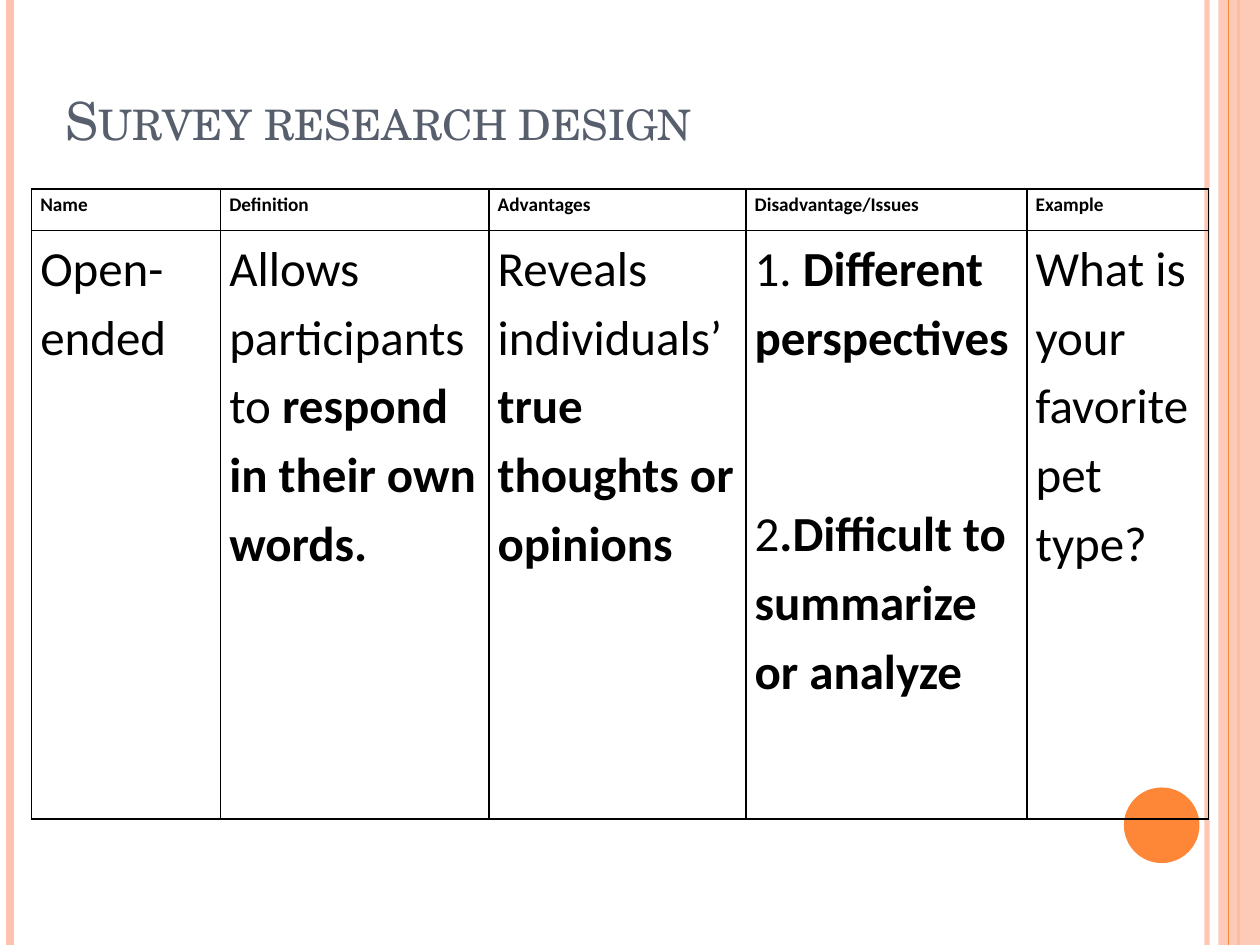
from dataclasses import dataclass

from lxml import etree
from pptx import Presentation
from pptx.dml.color import RGBColor
from pptx.enum.shapes import MSO_CONNECTOR, MSO_SHAPE
from pptx.enum.text import MSO_ANCHOR, MSO_AUTO_SIZE, PP_ALIGN
from pptx.oxml.ns import qn
from pptx.util import Inches, Pt

STRAIGHT = MSO_CONNECTOR.STRAIGHT
RECTANGLE, OVAL = MSO_SHAPE.RECTANGLE, MSO_SHAPE.OVAL
BOTTOM, TOP = MSO_ANCHOR.BOTTOM, MSO_ANCHOR.TOP
LEFT, NO_AUTOFIT = PP_ALIGN.LEFT, MSO_AUTO_SIZE.NONE

WIDTH, HEIGHT = 10, 7.5
PEACH, ORANGE, SLATE, BLACK = "FEC3AE", "FE8637", "575F6D", "000000"
TITLE_FONT, TABLE_FONT = "TeX Gyre Schola", "Calibri"


@dataclass
class Stripe:
    x: float
    color: str
    weight: float
    opacity: int = 100


@dataclass
class Panel:
    preset: int
    box: tuple[float, float, float, float]
    color: str
    opacity: int = 100


@dataclass
class Column:
    heading: str
    width: float
    paragraphs: list[list[tuple[str, bool]]]  # runs as (text, bold)


OUTER_STRIPES = [Stripe(9.58, PEACH, 3, 93), Stripe(0.08, PEACH, 4.5), Stripe(9.83, ORANGE, 1.5)]
BAND = Panel(RECTANGLE, (9.67, 0, 0.33, HEIGHT), PEACH, 87)
BAND_STRIPE = Stripe(9.75, ORANGE, 0.75)
DISC = Panel(OVAL, (8.92, 6.25, 0.6, 0.6), ORANGE)

COLUMNS = [
    Column("Name", 1.5, [[("Open-ended", False)]]),
    Column("Definition", 2.13,
           [[("Allows participants to ", False), ("respond in their own words.", True)]]),
    Column("Advantages", 2.04,
           [[("Reveals individuals’ ", False), ("true thoughts or opinions", True)]]),
    Column("Disadvantage/Issues", 2.23,
           [[("1. ", False), ("Different perspectives", True)],
            [("2", False), (".Difficult to summarize or analyze", True)]]),
    Column("Example", 1.44, [[("What is your favorite pet type?", False)]]),
]
ROW_HEIGHTS = [0.33, 4.67]
ISSUE_GAP = 73


def rgb(color: str) -> RGBColor:
    return RGBColor.from_string(color)


def set_opacity(properties, percent: int) -> None:
    if percent < 100:
        color = next(properties.iter(qn("a:srgbClr")))
        etree.SubElement(color, qn("a:alpha")).set("val", str(percent * 1000))


def add_run(paragraph, text: str, *, size: float, font: str, color: str,
            bold: bool = False, small_caps: bool = False) -> None:
    run = paragraph.add_run()
    run.text = text
    run.font.size, run.font.name, run.font.bold = Pt(size), font, bold
    run.font.color.rgb = rgb(color)
    if small_caps:
        run.font._element.set("cap", "small")


def draw_stripe(slide, stripe: Stripe) -> None:
    x = Inches(stripe.x)
    line = slide.shapes.add_connector(STRAIGHT, x, 0, x, Inches(HEIGHT))
    line.line.color.rgb = rgb(stripe.color)
    line.line.width = Pt(stripe.weight)
    properties = line._element.spPr
    set_opacity(properties, stripe.opacity)
    etree.SubElement(properties, qn("a:effectLst"))


def draw_panel(slide, panel: Panel) -> None:
    shape = slide.shapes.add_shape(panel.preset, *map(Inches, panel.box))
    shape.shadow.inherit = False
    shape.fill.solid()
    shape.fill.fore_color.rgb = rgb(panel.color)
    shape.line.fill.background()
    set_opacity(shape._element.spPr, panel.opacity)


def write_title(slide, text: str) -> None:
    title = slide.shapes.title
    title.left, title.top, title.width, title.height = map(Inches, (0.42, 0, 8.17, 1.25))
    frame = title.text_frame
    frame.auto_size, frame.vertical_anchor = NO_AUTOFIT, BOTTOM
    paragraph = frame.paragraphs[0]
    paragraph.alignment = LEFT
    add_run(paragraph, text, size=30, font=TITLE_FONT, color=SLATE, small_caps=True)


def add_borders(cell) -> None:
    properties = cell._tc.get_or_add_tcPr()
    for position, side in enumerate(("lnL", "lnR", "lnT", "lnB")):
        border = etree.Element(qn(f"a:{side}"), w=str(Pt(1)))
        fill = etree.SubElement(border, qn("a:solidFill"))
        etree.SubElement(fill, qn("a:srgbClr")).set("val", BLACK)
        properties.insert(position, border)


def fill_cell(cell, paragraphs: list[list[tuple[str, bool]]], size: float) -> None:
    cell.margin_left = cell.margin_right = Inches(0.07)
    cell.margin_top = cell.margin_bottom = 0
    cell.vertical_anchor = TOP
    cell.fill.background()
    add_borders(cell)
    frame = cell.text_frame
    for index, runs in enumerate(paragraphs):
        paragraph = frame.add_paragraph() if index else frame.paragraphs[0]
        paragraph.line_spacing = 1.15
        if index:
            paragraph.space_before = Pt(ISSUE_GAP)
        for text, bold in runs:
            add_run(paragraph, text, size=size, font=TABLE_FONT, color=BLACK, bold=bold)


def draw_table(slide) -> None:
    total_width = sum(column.width for column in COLUMNS)
    table = slide.shapes.add_table(len(ROW_HEIGHTS), len(COLUMNS), Inches(0.25), Inches(1.5),
                                   Inches(total_width), Inches(sum(ROW_HEIGHTS))).table
    table.first_row = table.horz_banding = False
    for row, height in zip(table.rows, ROW_HEIGHTS):
        row.height = Inches(height)
    for index, column in enumerate(COLUMNS):
        table.columns[index].width = Inches(column.width)
        fill_cell(table.cell(0, index), [[(column.heading, True)]], 11)
        fill_cell(table.cell(1, index), column.paragraphs, 28)


def main() -> None:
    presentation = Presentation()
    presentation.slide_width, presentation.slide_height = Inches(WIDTH), Inches(HEIGHT)
    slide = presentation.slides.add_slide(presentation.slide_layouts[5])
    for stripe in OUTER_STRIPES:
        draw_stripe(slide, stripe)
    draw_panel(slide, BAND)
    draw_stripe(slide, BAND_STRIPE)
    draw_panel(slide, DISC)
    write_title(slide, "Survey research design")
    draw_table(slide)
    presentation.save("out.pptx")


if __name__ == "__main__":
    main()
